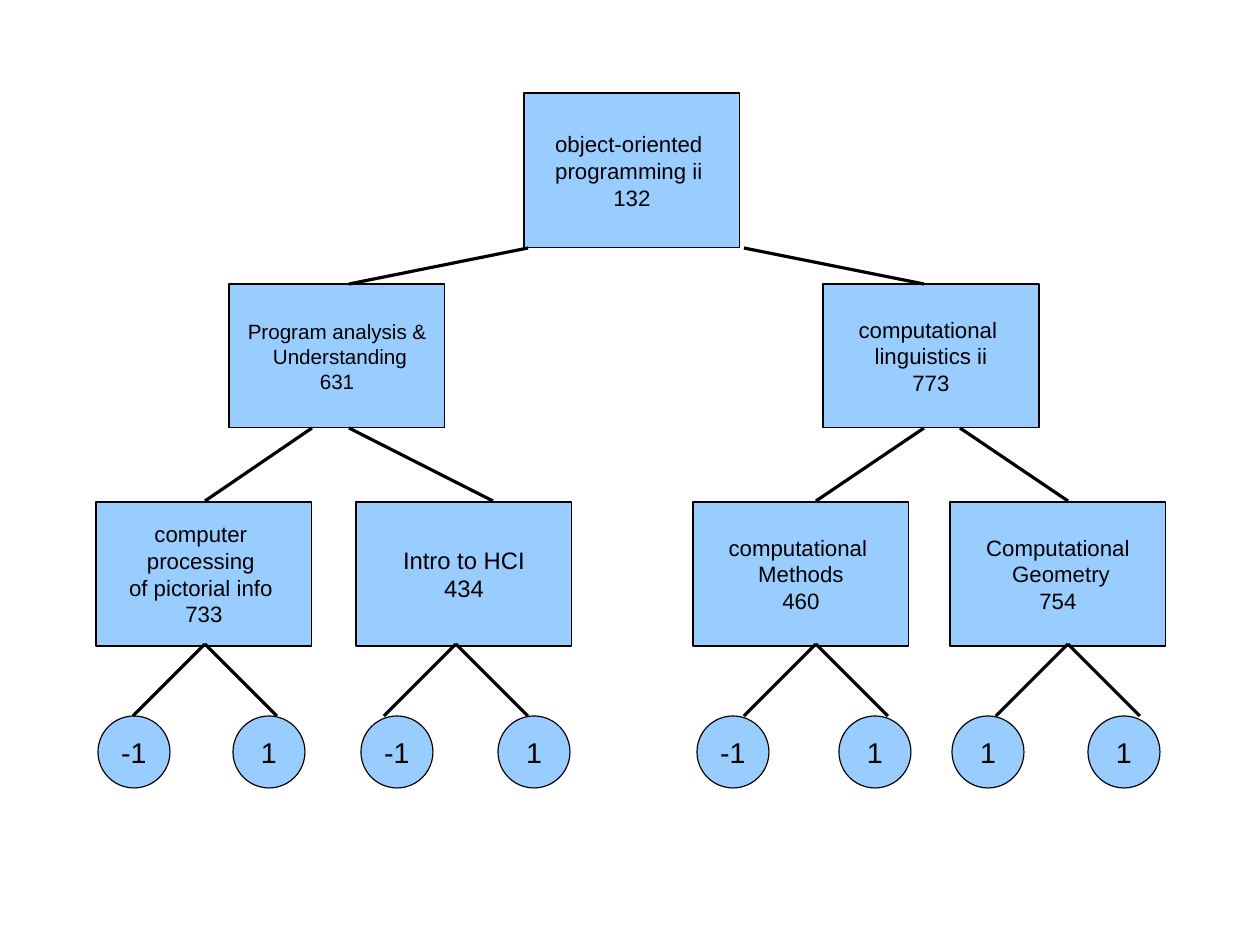
"""Build a slide with a decision tree of course nodes and vote leaves."""
from dataclasses import dataclass

from lxml.etree import SubElement
from pptx import Presentation
from pptx.dml.color import RGBColor
from pptx.enum.shapes import MSO_CONNECTOR, MSO_SHAPE
from pptx.enum.text import MSO_ANCHOR, PP_ALIGN
from pptx.oxml.ns import qn
from pptx.util import Pt


@dataclass(frozen=True)
class Theme:
    fill: RGBColor = RGBColor(0x99, 0xCC, 0xFF)
    ink: RGBColor = RGBColor(0, 0, 0)
    font: str = "Arial"
    small: int = 13
    course: int = 14
    large: int = 15
    leaf: int = 18


THEME = Theme()
PX = 8000
HAIRLINE = Pt(0)
BOX_WIDTH, BOX_HEIGHT, ROOT_HEIGHT = 216, 144, 155
ROOT_TOP, MIDDLE_TOP, LOWER_TOP = 93, 284, 502
LEAF_TOP, LEAF_SIZE = 716, 72
APEX_TOP, BRANCH_REACH = 644, 72


def add_node(kind, left, top, width, height, text, size):
    shape = slide.shapes.add_shape(kind, left * PX, top * PX, width * PX, height * PX)
    shape.shadow.inherit = False
    shape.fill.solid()
    shape.fill.fore_color.rgb = THEME.fill
    shape.line.color.rgb = THEME.ink
    shape.line.width = HAIRLINE
    text_frame = shape.text_frame
    text_frame.text = text
    text_frame.word_wrap = False
    text_frame.vertical_anchor = MSO_ANCHOR.MIDDLE
    for paragraph in text_frame.paragraphs:
        paragraph.alignment = PP_ALIGN.CENTER
        for run in paragraph.runs:
            run.font.name = THEME.font
            run.font.size = Pt(size)
            run.font.color.rgb = THEME.ink


def add_branch(start_x, start_y, end_x, end_y):
    connector = slide.shapes.add_connector(
        MSO_CONNECTOR.STRAIGHT, start_x * PX, start_y * PX, end_x * PX, end_y * PX
    )
    connector.line.color.rgb = THEME.ink
    connector.line.width = HAIRLINE
    SubElement(connector._element.spPr, qn("a:effectLst"))


presentation = Presentation()
presentation.slide_width = 1260 * PX
presentation.slide_height = 945 * PX
slide = presentation.slides.add_slide(presentation.slide_layouts[6])

courses = [
    (524, ROOT_TOP, ROOT_HEIGHT, "object-oriented \vprogramming ii \n132", THEME.course),
    (229, MIDDLE_TOP, BOX_HEIGHT, "Program analysis &\n Understanding\n631", THEME.small),
    (823, MIDDLE_TOP, BOX_HEIGHT, "computational \nlinguistics ii\n773", THEME.course),
    (96, LOWER_TOP, BOX_HEIGHT, "computer \nprocessing \nof pictorial info \n733", THEME.course),
    (356, LOWER_TOP, BOX_HEIGHT, "Intro to HCI\n434", THEME.large),
    (693, LOWER_TOP, BOX_HEIGHT, "computational \nMethods\n460", THEME.course),
    (950, LOWER_TOP, BOX_HEIGHT, "Computational\n Geometry\n754", THEME.course),
]
for left, top, height, text, size in courses:
    add_node(MSO_SHAPE.RECTANGLE, left, top, BOX_WIDTH, height, text, size)

leaves = [
    (98, "-1"), (233, "1"), (361, "-1"), (498, "1"),
    (697, "-1"), (839, "1"), (952, "1"), (1088, "1"),
]
for left, vote in leaves:
    add_node(MSO_SHAPE.OVAL, left, LEAF_TOP, LEAF_SIZE, LEAF_SIZE, vote, THEME.leaf)

for parent_x, child_x in [(528, 349), (744, 924)]:
    add_branch(parent_x, ROOT_TOP + ROOT_HEIGHT, child_x, MIDDLE_TOP)

for parent_x, child_x in [(312, 205), (349, 493), (924, 816), (960, 1068)]:
    add_branch(parent_x, MIDDLE_TOP + BOX_HEIGHT, child_x, LOWER_TOP - 1)

for apex_x in (205, 456, 816, 1068):
    for reach in (-BRANCH_REACH, BRANCH_REACH):
        add_branch(apex_x, APEX_TOP, apex_x + reach, LEAF_TOP)

presentation.save("out.pptx")
